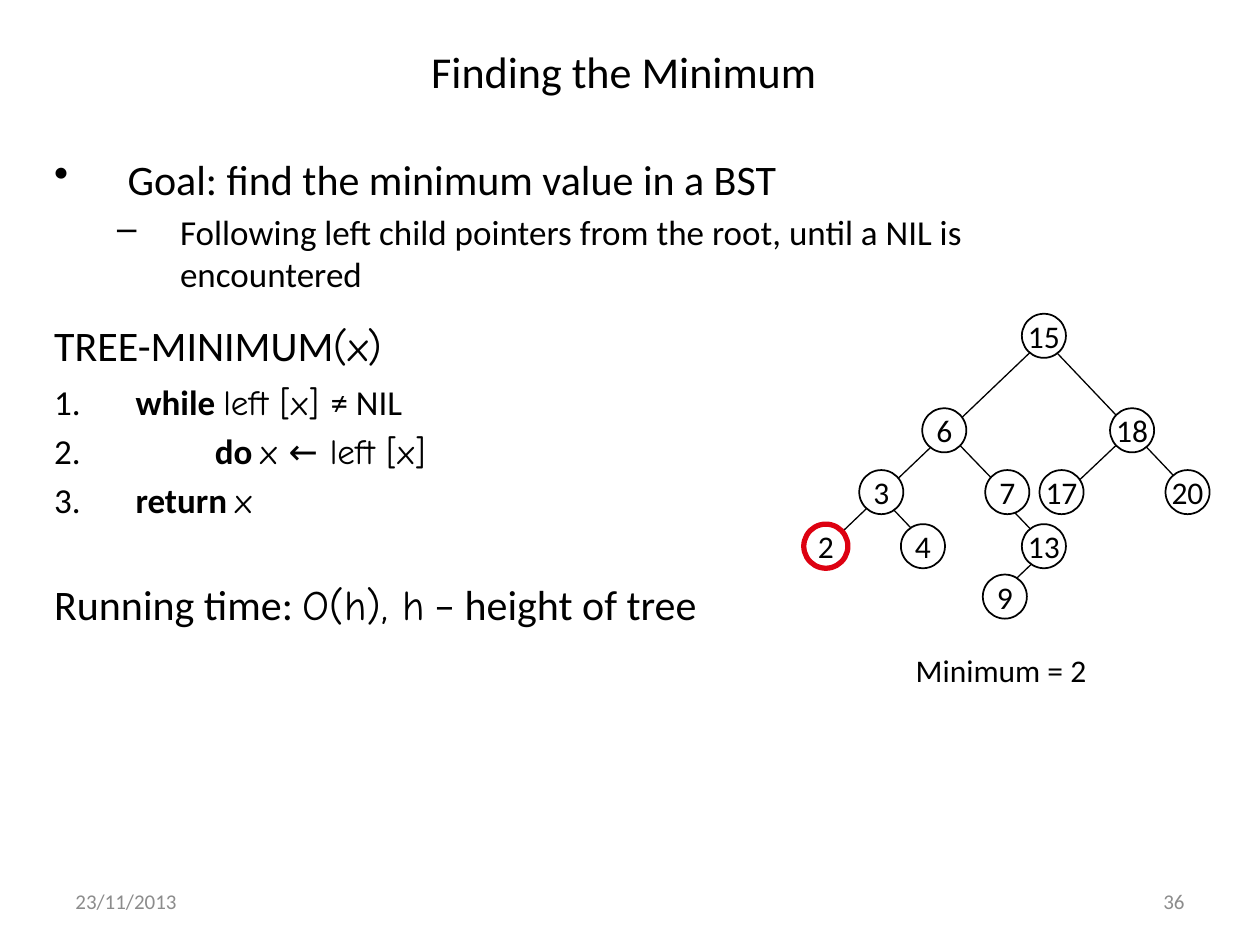
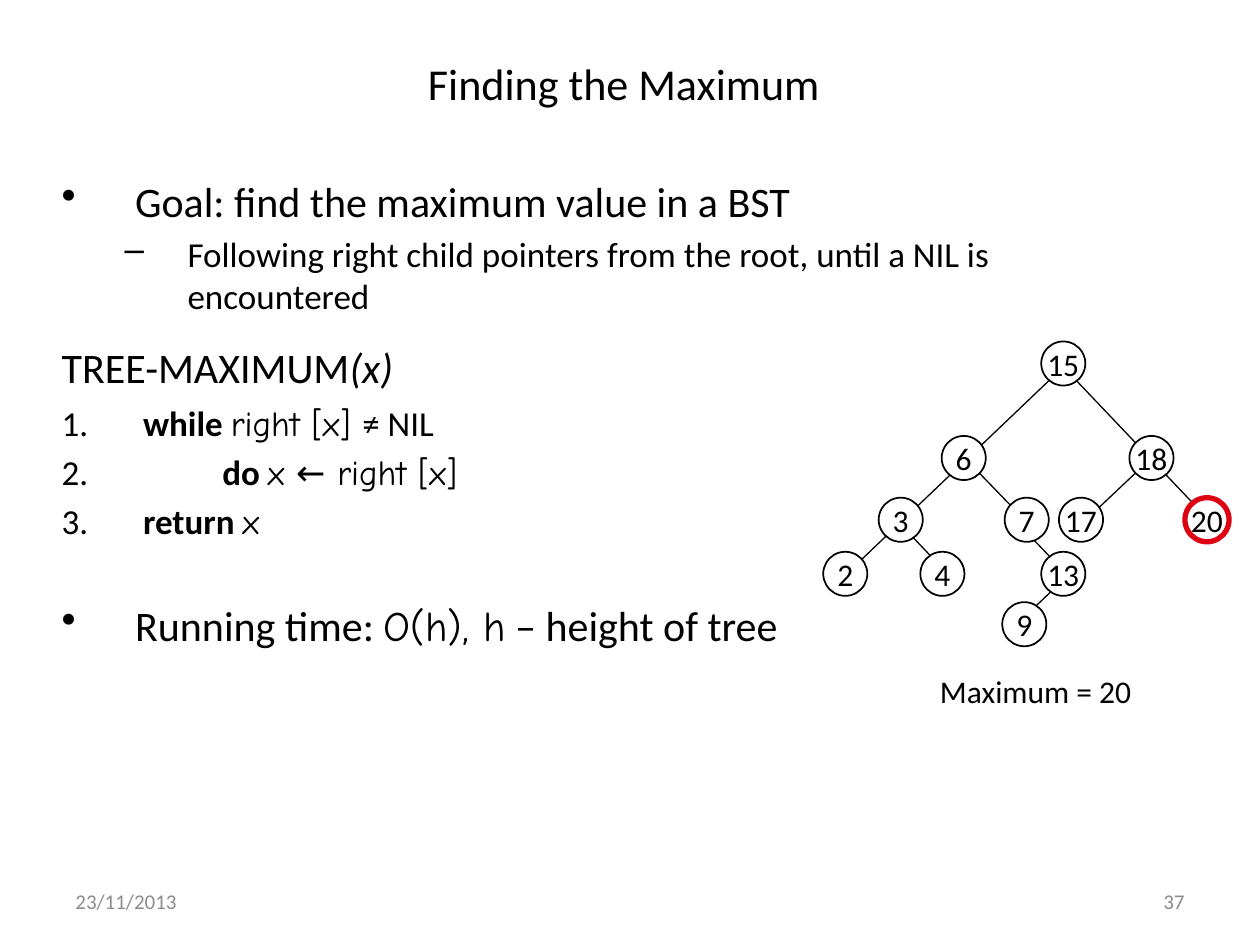
from lxml import etree
from pptx import Presentation
from pptx.dml.color import RGBColor
from pptx.enum.shapes import MSO_CONNECTOR, MSO_SHAPE
from pptx.enum.text import MSO_ANCHOR, PP_ALIGN
from pptx.oxml.ns import qn
from pptx.util import Pt

LEFT, CENTER, RIGHT = PP_ALIGN.LEFT, PP_ALIGN.CENTER, PP_ALIGN.RIGHT
TOP, MIDDLE = MSO_ANCHOR.TOP, MSO_ANCHOR.MIDDLE
OVAL, STRAIGHT = MSO_SHAPE.OVAL, MSO_CONNECTOR.STRAIGHT

COLORS = {"text": "000000", "footer": "8C8C8C", "node": "FFFFFF", "found": "DD0111"}
FONT, MATH_FONT = "Calibri", "Comic Neue"
BOLD, ITALIC, MATH = {"bold": True}, {"italic": True}, {"name": MATH_FONT}

DATE = "23/11/2013"
SLIDES = [
    {"word": "Minimum", "side": "left", "found": 2, "number": 36,
     "argument_style": MATH, "time_bullet": None,
     "title_top": 21.7, "body": (23.8, 84.2, 548.6, 355.7),
     "root": (583.9, 179.3), "caption": (516.2, 368.6)},
    {"word": "Maximum", "side": "right", "found": 20, "number": 37,
     "argument_style": ITALIC, "time_bullet": "•",
     "title_top": 28.6, "body": (28.1, 96.5, 553, 399.6),
     "root": (595, 195.1), "caption": (530, 380.2)},
]

# Node rows: distance below the root, then each key with its distance right of the root
NODE_SIZE = 25.2
TREE_ROWS = [
    (0, {15: 0}),
    (54, {6: -56.9, 18: 50.4}),
    (89.3, {3: -92.9, 7: -20.9, 17: 10.1, 20: 82.1}),
    (120.2, {2: -124.6, 4: -69.1, 13: 0}),
    (149, {9: -22.3}),
]
# Branch strokes run behind the nodes, measured from the root
BRANCHES = [
    (-16.6, 164.2, 15.8, 133.2),
    (-11.5, 105.8, 19.4, 138.2),
    (23, 104.4, 63.4, 66.2),
    (-50.4, 136.1, -88.6, 95.8),
    (-7.2, 104.4, -46.1, 64.1),
    (100.8, 107.3, 5, 6.5),
    (-110.9, 132.5, 15.1, 12.2),
]


def body_paragraphs(page):
    """Rows of (size, space before, bullet, left margin, hang, runs)."""
    word, side = page["word"], page["side"]
    code = [
        [(" ", {}), ("while ", BOLD), (f"{side} [x] ", MATH), ("≠ NIL", {})],
        [("           ", {}), ("do ", BOLD), (f"x ← {side} [x]", MATH)],
        [(" ", {}), ("return ", BOLD), ("x", MATH)],
    ]
    return [
        (24, 0, "•", 42, 42, [(f"Goal: find the {word.lower()} value in a BST", {})]),
        (20, 4, "–", 72, 36, [(f"Following {side} child pointers from the root, "
                               "until a NIL is encountered", {})]),
        (24, 14, None, 42, 42, [(f"TREE-{word.upper()}", {}),
                                ("(x)", page["argument_style"])]),
        *[(20, 4 if index else 6, "number", 42, 42, runs)
          for index, runs in enumerate(code)],
        (24, 33, page["time_bullet"], 42, 42,
         [("Running time: ", {}), ("O(h), h", MATH), (" – height of tree", {})]),
    ]


def rgb(name):
    return RGBColor.from_string(COLORS[name])


def style(paragraph, size, color="text", align=LEFT):
    paragraph.alignment = align
    font = paragraph.font
    font.name, font.size = FONT, Pt(size)
    font.color.rgb = rgb(color)


def add_text_box(slide, box, anchor=TOP):
    frame = slide.shapes.add_textbox(*map(Pt, box)).text_frame
    frame.word_wrap = True
    frame.vertical_anchor = anchor
    return frame


def add_label(slide, text, box, size, color="text", align=LEFT, anchor=MIDDLE):
    paragraph = add_text_box(slide, box, anchor).paragraphs[0]
    paragraph.text = text
    style(paragraph, size, color, align)


def set_bullet(paragraph, bullet, margin, hang):
    properties = paragraph._p.get_or_add_pPr()
    properties.set("marL", str(Pt(margin)))
    properties.set("indent", str(-Pt(hang)))
    if bullet == "number":
        etree.SubElement(properties, qn("a:buAutoNum"), type="arabicPeriod")
    elif bullet:
        etree.SubElement(properties, qn("a:buChar"), char=bullet)
    else:
        etree.SubElement(properties, qn("a:buNone"))


def add_body(slide, page):
    frame = add_text_box(slide, page["body"])
    for index, row in enumerate(body_paragraphs(page)):
        size, space, bullet, margin, hang, runs = row
        paragraph = frame.add_paragraph() if index else frame.paragraphs[0]
        paragraph.space_before = Pt(space)
        set_bullet(paragraph, bullet, margin, hang)
        style(paragraph, size)
        for text, changes in runs:
            run = paragraph.add_run()
            run.text = text
            for attribute, value in changes.items():
                setattr(run.font, attribute, value)


def add_branch(slide, points):
    branch = slide.shapes.add_connector(STRAIGHT, *map(Pt, points))
    branch.line.color.rgb = rgb("text")
    branch.line.width = Pt(0.75)
    etree.SubElement(branch._element.spPr, qn("a:effectLst"))


def add_node(slide, key, left, top, found):
    node = slide.shapes.add_shape(OVAL, Pt(left), Pt(top), Pt(NODE_SIZE), Pt(NODE_SIZE))
    node.shadow.inherit = False
    node.fill.solid()
    node.fill.fore_color.rgb = rgb("node")
    node.line.color.rgb = rgb("found" if found else "text")
    node.line.width = Pt(3 if found else 1)
    frame = node.text_frame
    frame.word_wrap = False
    frame.vertical_anchor = MIDDLE
    paragraph = frame.paragraphs[0]
    paragraph.text = str(key)
    style(paragraph, 18, align=CENTER)


def add_tree(slide, page):
    x, y = page["root"]
    for x1, y1, x2, y2 in BRANCHES:
        add_branch(slide, (x + x1, y + y1, x + x2, y + y2))
    for depth, row in TREE_ROWS:
        for key, offset in row.items():
            add_node(slide, key, x + offset, y + depth, key == page["found"])


def add_page(presentation, page):
    slide = presentation.slides.add_slide(presentation.slide_layouts[6])
    add_label(slide, DATE, (36, 500.4, 168, 28.8), 12, "footer")
    add_label(slide, str(page["number"]), (516, 500.4, 168, 28.8), 12, "footer", RIGHT)
    add_label(slide, f"Finding the {page['word']}",
              (32.5, page["title_top"], 648, 38), 25.2, align=CENTER)
    add_body(slide, page)
    add_tree(slide, page)
    add_label(slide, f"{page['word']} = {page['found']}",
              (*page["caption"], 140, 29), 18, anchor=TOP)


def main():
    presentation = Presentation()
    presentation.slide_width, presentation.slide_height = Pt(720), Pt(540)
    for page in SLIDES:
        add_page(presentation, page)
    presentation.save("out.pptx")


if __name__ == "__main__":
    main()
